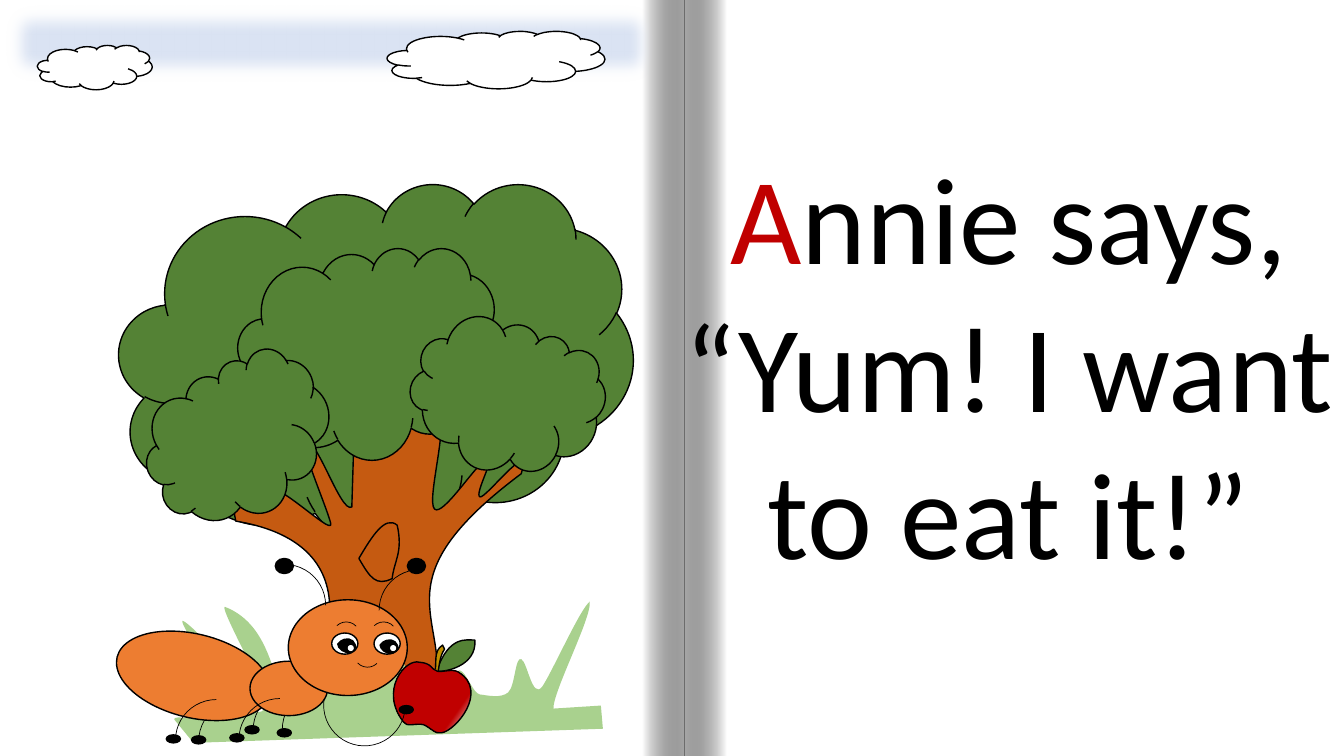
from lxml import etree
from pptx import Presentation
from pptx.dml.color import RGBColor
from pptx.enum.shapes import MSO_SHAPE
from pptx.enum.text import MSO_AUTO_SIZE, PP_ALIGN
from pptx.oxml.ns import qn
from pptx.util import Pt

RECT, OVAL = MSO_SHAPE.RECTANGLE, MSO_SHAPE.OVAL
CLOUD, ARC = MSO_SHAPE.CLOUD, MSO_SHAPE.ARC
CENTER, GROW = PP_ALIGN.CENTER, MSO_AUTO_SIZE.SHAPE_TO_FIT_TEXT

PX = 9144  # 100 px to the inch
BLACK, WHITE, RED = "000000", "FFFFFF", "C00000"
LEAF, BARK, GRASS, ORANGE = "548235", "C55A11", "A9D18E", "ED7D31"
STEM, SKY = "BF9000", "DAE3F3"

# Outlines: a start point, then 2 numbers for a line or 6 for a cubic curve.
TRUNK = [
    (352, 404), (432, 404), (449, 409, 422, 496, 431, 505),
    (439, 513, 471, 462, 482, 456), (494, 449, 470, 490, 476, 493),
    (482, 495, 528, 433, 517, 470), (374, 577, 446, 611, 432, 687),
    (304, 687), (298, 692, 394, 544, 234, 517),
    (226, 484, 244, 488, 256, 488), (260, 460, 332, 536, 328, 519),
    (324, 503, 296, 438, 303, 439), (314, 432, 338, 510, 349, 503)]
GRASS_BLADES = [
    (173, 714), (170, 708, 203, 717, 199, 710), (195, 704, 161, 688, 158, 677),
    (154, 666, 196, 675, 219, 701), (226, 691, 177, 617, 181, 616),
    (185, 615, 232, 661, 245, 699), (258, 712, 264, 706, 263, 695),
    (269, 695, 217, 602, 223, 602), (272, 621, 269, 683, 285, 687),
    (296, 702, 292, 682, 297, 682), (302, 683, 309, 693, 313, 691),
    (320, 689, 320, 683, 324, 675), (328, 668, 329, 638, 336, 633),
    (346, 636, 360, 675, 370, 678), (380, 678, 363, 618, 373, 617),
    (386, 623, 407, 679, 420, 685), (424, 684, 427, 670, 431, 669),
    (437, 670, 437, 684, 443, 685), (448, 684, 451, 665, 456, 665),
    (463, 667, 469, 688, 476, 689), (484, 690, 497, 693, 504, 687),
    (511, 681, 511, 651, 517, 654), (523, 656, 528, 695, 538, 681),
    (548, 666, 576, 603, 585, 597), (587, 613, 548, 687, 549, 703),
    (596, 700), (598, 723), (192, 737)]
HOLLOW = [(356, 554), (369, 532, 382, 511, 394, 521),
          (400, 548, 391, 556, 389, 574), (373, 582, 367, 573, 356, 554)]
APPLE_LEAF = [(433, 666), (445, 630, 463, 635, 471, 635),
              (473, 661, 441, 667, 433, 666)]
APPLE_STEM = [(439, 640), (441, 644), (436, 651, 436, 660, 434, 669),
              (431, 668), (434, 659, 429, 646, 439, 640)]
APPLE = [(416, 657), (429, 658, 427, 664, 434, 666),
         (440, 667, 449, 663, 455, 667), (485, 686, 452, 725, 438, 727),
         (432, 729, 426, 721, 420, 719), (413, 717, 403, 722, 400, 716),
         (376, 685, 402, 653, 416, 657)]
PUPIL = [(335, 639), (336, 642), (338, 645, 340, 646, 343, 647),
         (346, 648, 349, 647, 351, 645), (353, 642), (352, 639),
         (351, 636, 349, 635, 346, 634), (343, 634, 340, 634, 338, 636)]


def rgb(color):
    return RGBColor.from_string(color)


def curve_bounds(outline):
    """Return left, top, right and bottom of the curves, in whole px."""
    points = [outline[0]]
    for seg in outline[1:]:
        ends = [points[-1], seg[:2], seg[2:4], seg[4:]]
        for t in (i / 20 for i in range(1, 20) if len(seg) == 6):
            u = 1 - t
            weights = (u ** 3, 3 * u * u * t, 3 * u * t * t, t ** 3)
            points.append([sum(w * e[k] for w, e in zip(weights, ends))
                           for k in (0, 1)])
        points.append(seg[-2:])
    xs, ys = zip(*points)
    return [round(v) for v in (min(xs), min(ys), max(xs), max(ys))]


class Page:
    font = "Calibri"

    def __init__(self, slide):
        self.slide = slide
        self.shapes = slide.shapes

    def start_group(self):
        self.shapes = self.slide.shapes.add_group_shape().shapes

    def end_group(self):
        self.shapes = self.slide.shapes

    def paint(self, sp, fill, line, width):
        sp.shadow.inherit = False
        if fill:
            sp.fill.solid()
            sp.fill.fore_color.rgb = rgb(fill)
        else:
            sp.fill.background()
        if line:
            sp.line.color.rgb = rgb(line)
            sp.line.width = Pt(width)
        else:
            sp.line.fill.background()
        return sp

    def shape(self, kind, box, fill=None, line=BLACK, width=1, rot=0, flip=""):
        sp = self.shapes.add_shape(kind, *(v * PX for v in box))
        sp.rotation = rot
        for axis in flip:
            sp._element.spPr.find(qn("a:xfrm")).set("flip" + axis, "1")
        return self.paint(sp, fill, line, width)

    def arc(self, x, y, size=81, rot=0, flip=""):
        return self.shape(ARC, (x, y, size, size), width=0.5, rot=rot, flip=flip)

    def outline(self, outline, fill=None, line=BLACK, dx=0, dy=0):
        """Draw the outline, with its six-number segments as true curves."""
        left, top, right, bottom = curve_bounds(outline)
        builder = self.shapes.build_freeform(left, top, scale=PX)
        builder.add_line_segments([(right, top), (right, bottom)], close=True)
        sp = builder.convert_to_shape(dx * PX, dy * PX)
        track = next(sp._element.iter(qn("a:path")))
        for child in list(track):
            track.remove(child)
        for i, seg in enumerate(outline):
            tag = "a:cubicBezTo" if len(seg) == 6 else "a:lnTo" if i else "a:moveTo"
            step = etree.SubElement(track, qn(tag))
            for x, y in zip(seg[::2], seg[1::2]):
                etree.SubElement(step, qn("a:pt"), x=str((x - left) * PX),
                                 y=str((y - top) * PX))
        etree.SubElement(track, qn("a:close"))
        track.set("w", str((right - left) * PX))
        track.set("h", str((bottom - top) * PX))
        return self.paint(sp, fill, line, 1)

    def gradient(self, sp, stops, angle):
        """Fill with two (position, colour, opacity) stops, angle clockwise."""
        sp.fill.gradient()
        sp.fill.gradient_angle = 360 - angle
        for stop, (position, color, opacity) in zip(sp.fill.gradient_stops, stops):
            stop.position = position
            stop.color.rgb = rgb(color)
            if opacity < 100:
                clr = stop._gs.find(qn("a:srgbClr"))
                etree.SubElement(clr, qn("a:alpha"), val=str(opacity * 1000))

    def soft_edge(self, sp, points):
        effects = sp._element.spPr.find(qn("a:effectLst"))
        etree.SubElement(effects, qn("a:softEdge"), rad=str(int(Pt(points))))

    def text(self, box, parts, size):
        """Write one centred paragraph from (text, colour) parts."""
        tf = self.shapes.add_textbox(*(v * PX for v in box)).text_frame
        tf.word_wrap = True
        tf.auto_size = GROW
        p = tf.paragraphs[0]
        p.alignment = CENTER
        for text, color in parts:
            r = p.add_run()
            r.text = text
            r.font.name = self.font
            r.font.size = Pt(size)
            r.font.color.rgb = rgb(color)


def draw_book(page):
    page.start_group()
    page.shape(RECT, (0, 0, 637, 750), WHITE, None)
    for x, flip in ((679, ""), (637, "H")):
        sp = page.shape(RECT, (x, 0, 42, 750), WHITE, None, flip=flip)
        page.gradient(sp, [(0, WHITE, 100), (1, BLACK, 34)], 180)
    page.end_group()


def draw_tree(page):
    page.start_group()
    page.shape(CLOUD, (118, 182, 510, 360), LEAF)
    page.outline(TRUNK, BARK)
    page.shape(CLOUD, (236, 246, 260, 210), LEAF)
    for x, y, rot in ((408, 318, 26.5), (142, 361, 338.5)):
        page.shape(CLOUD, (x, y, 189, 152), LEAF, rot=rot)
    page.outline(GRASS_BLADES, GRASS, None)
    page.outline(HOLLOW)
    page.end_group()


def draw_sky(page):
    page.soft_edge(page.shape(RECT, (0, 0, 656, 85), SKY, SKY), 12.5)
    for box in ((37, 45, 114, 44), (384, 31, 216, 57)):
        page.shape(CLOUD, box, WHITE)


def draw_apple(page):
    page.start_group()
    page.outline(APPLE_LEAF, LEAF)
    page.outline(APPLE_STEM, STEM)
    apple = page.outline(APPLE, RED)
    page.gradient(apple, [(0, "F6F8FC", 100), (0.23, RED, 100)], 215)
    page.end_group()


def draw_ant(page):
    page.start_group()
    for x, y in ((280, 683), (251, 684), (197, 695)):
        page.arc(x, y, flip="H")
    page.shape(OVAL, (114, 629, 156, 83), ORANGE, rot=13.8, flip="H")
    page.shape(OVAL, (248, 656, 77, 54), ORANGE, flip="H")
    page.shape(OVAL, (286, 595, 118, 95), ORANGE, flip="H")
    for x, y in ((174, 694), (237, 693)):
        page.arc(x, y, flip="H")
    front_leg = page.arc(321, 659, rot=278.7, flip="H")
    front_leg.adjustments[0] = 162
    front_leg.adjustments[1] = 52.9
    page.arc(242, 560)
    page.arc(376, 565, flip="H")
    for x in (273, 404):
        page.shape(OVAL, (x, 554, 18, 15), BLACK)
    for x, y in ((275, 723), (396, 700), (243, 720), (228, 728), (190, 730), (165, 729)):
        page.shape(OVAL, (x, y, 14, 8), BLACK)
    for x in (330, 367):
        page.arc(x, 617, 27, rot=316.5)
    for x in (329, 371):
        page.shape(OVAL, (x, 628, 26, 21), WHITE)
    page.arc(351, 635, 27, rot=316.5, flip="HV")
    for dx, dy in ((42, 1), (0, 0)):
        page.outline(PUPIL, BLACK, dx=dx, dy=dy)
        page.shape(OVAL, (345 + dx, 640, 6, 6), WHITE, None, flip="HV")
    page.end_group()


def main():
    prs = Presentation()
    prs.slide_width, prs.slide_height = 1333 * PX, 750 * PX
    page = Page(prs.slides.add_slide(prs.slide_layouts[6]))
    draw_book(page)
    page.text((667, 135, 667, 454),
              [("A", RED), ("nnie says, “Yum! I want to eat it!”", BLACK)], 88)
    draw_tree(page)
    draw_sky(page)
    draw_apple(page)
    draw_ant(page)
    prs.save("out.pptx")


if __name__ == "__main__":
    main()
